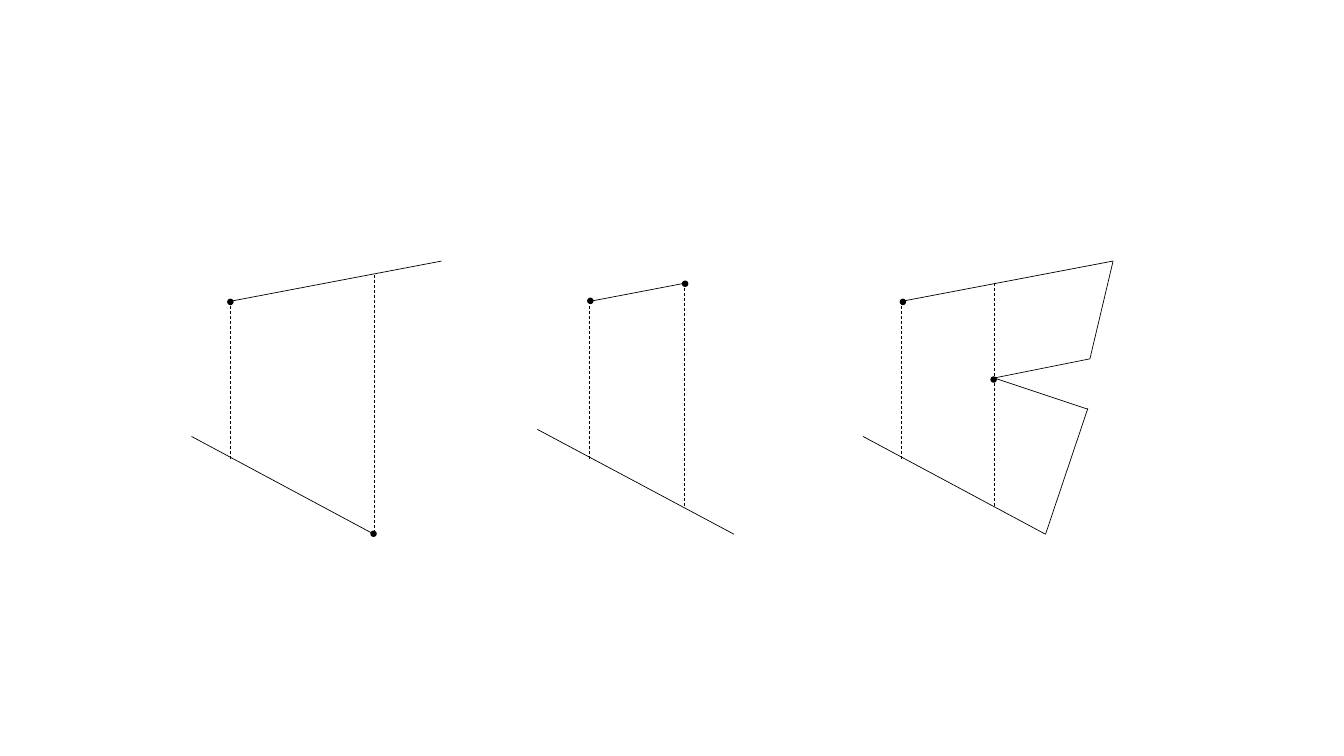
from pptx import Presentation
from pptx.dml.color import RGBColor as Rgb
from pptx.enum.dml import MSO_LINE as Dash
from pptx.enum.shapes import MSO_CONNECTOR as Conn, MSO_SHAPE as Shape
from pptx.oxml.ns import qn
from pptx.util import Pt
from lxml import etree

PX = 9144
COLORS = {"ink": "000000", "paper": "FFFFFF"}
INK = Rgb.from_string(COLORS["ink"])
DOT = 5

deck = Presentation()
deck.slide_width, deck.slide_height = 1333 * PX, 750 * PX
slide = deck.slides.add_slide(deck.slide_layouts[6])
slide.background.fill.solid()
slide.background.fill.fore_color.rgb = Rgb.from_string(COLORS["paper"])


def draw(ends, dash=None):
    line = slide.shapes.add_connector(Conn.STRAIGHT, *[n * PX for n in ends])
    line.line.color.rgb = INK
    line.line.width = Pt(0.5)
    if dash:
        line.line.dash_style = dash
    etree.SubElement(line._element.spPr, qn("a:effectLst"))


left = [(190, 433, 371, 530), (228, 299, 438, 259)]
middle = [(533, 426, 728, 530), (585, 299, 679, 281)]
right = [
    (856, 433, 1037, 530), (894, 299, 1104, 259),
    (986, 375, 1081, 356), (986, 375, 1079, 406),
    (1081, 356, 1104, 259), (1037, 530, 1079, 405),
]
walls = [
    (228, 299, 455), (371, 273, 530),
    (585, 299, 455), (679, 281, 504),
    (894, 299, 455), (986, 281, 502),
]
dots = [(226, 297), (368, 527), (583, 296), (677, 279), (893, 297), (983, 374)]

for edge in left + middle + right:
    draw(edge)

for x, top, base in walls:
    draw((x, top, x, base), Dash.DASH)

for x, y in dots:
    dot = slide.shapes.add_shape(Shape.OVAL, x * PX, y * PX, DOT * PX, DOT * PX)
    dot.shadow.inherit = False
    dot.fill.solid()
    dot.fill.fore_color.rgb = INK
    dot.line.color.rgb = INK
    dot.line.width = Pt(1)

deck.save("out.pptx")
